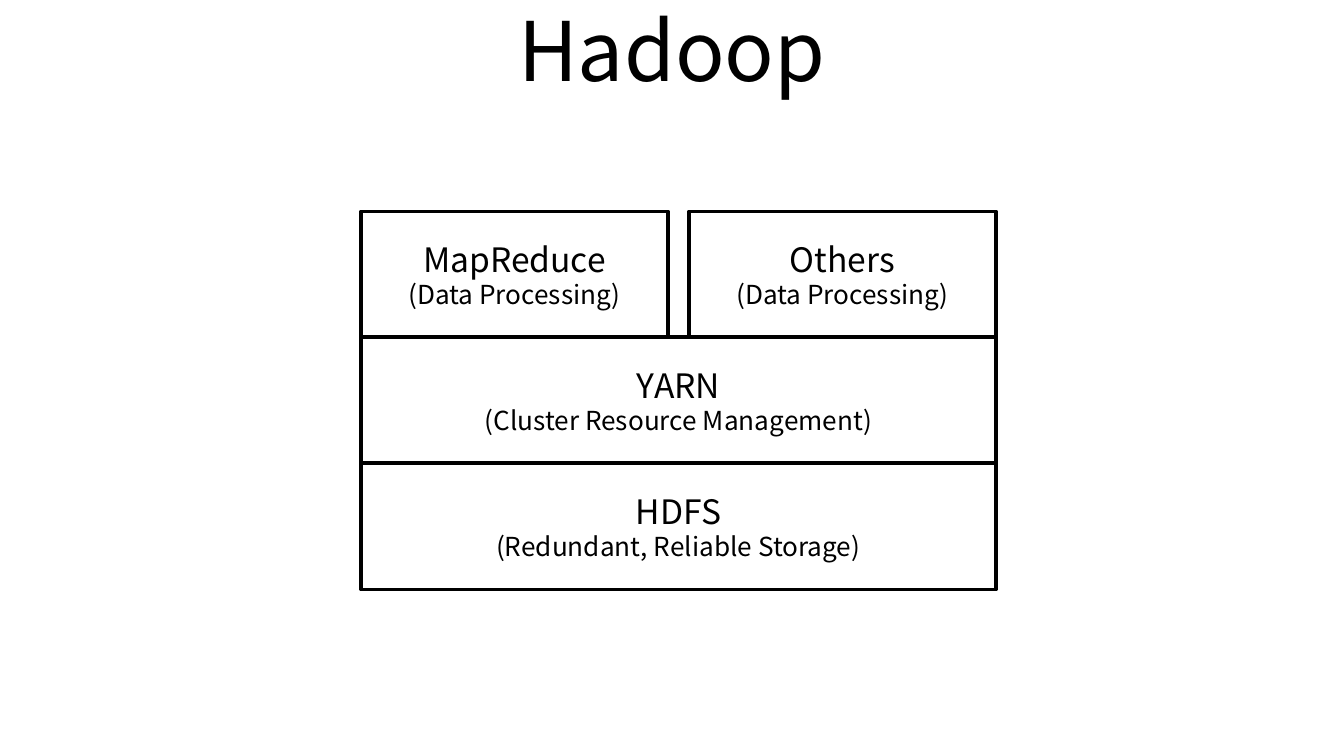
import pptx
import pptx.dml.color
import pptx.enum.shapes
import pptx.enum.text
import pptx.util

Pt = pptx.util.Pt


def color(code):
    return pptx.dml.color.RGBColor.from_string(code)


class Board:
    font = "Noto Sans CJK KR"
    ink = "000000"
    paper = "FFFFFF"

    def __init__(self, slide):
        self.slide = slide

    def label(self, shape, lines):
        """Fill a shape with centred (text, size) lines."""
        frame = shape.text_frame
        form = {"word_wrap": True,
                "vertical_anchor": pptx.enum.text.MSO_ANCHOR.MIDDLE}
        for key, value in form.items():
            setattr(frame, key, value)
        for i, (text, size) in enumerate(lines):
            para = frame.add_paragraph() if i else frame.paragraphs[0]
            para.alignment = pptx.enum.text.PP_ALIGN.CENTER
            run = para.add_run()
            run.text = text
            for key, value in {"name": self.font, "size": Pt(size)}.items():
                setattr(run.font, key, value)
            run.font.color.rgb = color(self.ink)

    def title(self, text, *area):
        box = self.slide.shapes.add_textbox(*map(Pt, area))
        self.label(box, [(text, 44)])

    def block(self, name, role, *area):
        kind = pptx.enum.shapes.MSO_SHAPE.ROUNDED_RECTANGLE
        shape = self.slide.shapes.add_shape(kind, *map(Pt, area))
        shape.adjustments[0] = 0
        shape.shadow.inherit = False
        shape.fill.solid()
        shape.fill.fore_color.rgb = color(self.paper)
        shape.line.color.rgb = color(self.ink)
        shape.line.width = Pt(2)
        self.label(shape, [(name, 18), (role, 14)])


def main():
    deck = pptx.Presentation()
    deck.slide_width, deck.slide_height = Pt(720), Pt(405)
    board = Board(deck.slides.add_slide(deck.slide_layouts[6]))
    board.title("Hadoop", 36, -7.5, 648, 67.5)

    left, top, width, height, gap = 193.5, 113.25, 340, 67.5, 11.5
    layers = [
        [("MapReduce", "(Data Processing)"), ("Others", "(Data Processing)")],
        [("YARN", "(Cluster Resource Management)")],
        [("HDFS", "(Redundant, Reliable Storage)")],
    ]
    for row, layer in reversed(list(enumerate(layers))):
        span = (width - gap * (len(layer) - 1)) / len(layer)
        for col, (name, role) in enumerate(layer):
            board.block(name, role, left + col * (span + gap),
                        top + row * height, span, height)
    deck.save("out.pptx")


if __name__ == "__main__":
    main()
